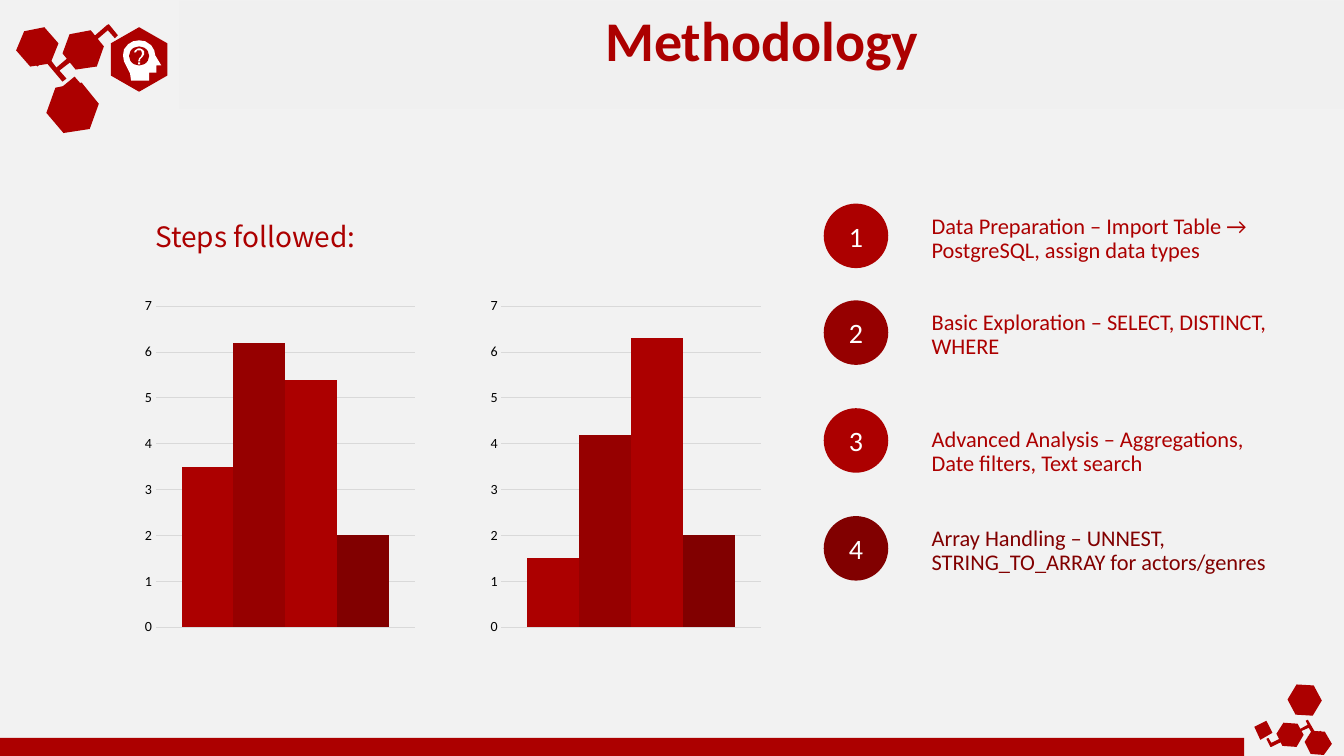
import pptx
import pptx.chart.data
import pptx.dml.color
import pptx.enum.chart
import pptx.enum.shapes
import pptx.enum.text
import pptx.util
from pptx.util import Inches

THEME = {
    "red": "AC0000", "dark": "960000", "deep": "810000",
    "back": "F2F2F2", "band": "F0F0F0", "white": "FFFFFF",
    "grid": "D9D9D9", "black": "000000",
    "font": "Calibri", "sub_font": "Noto Sans CJK SC",
    "title": 40, "lead": 20, "step": 16, "axis": 10,
}
RGB = pptx.dml.color.RGBColor.from_string
SHAPE = pptx.enum.shapes.MSO_SHAPE
ALIGN = pptx.enum.text.PP_ALIGN
ANCHOR = pptx.enum.text.MSO_ANCHOR

prs = pptx.Presentation()
prs.slide_width, prs.slide_height = Inches(13.33), Inches(7.5)
s = prs.slides.add_slide(prs.slide_layouts[6])
s.background.fill.solid()
s.background.fill.fore_color.rgb = RGB(THEME["back"])


def write(sp, text, size, color, font=THEME["font"], bold=False, align=ALIGN.LEFT,
          anchor=ANCHOR.TOP, inset=None, spacing=None):
    tf = sp.text_frame
    tf.word_wrap = True
    tf.vertical_anchor = anchor
    if inset is not None:
        tf.margin_left = tf.margin_right = tf.margin_top = tf.margin_bottom = Inches(inset)
    p = tf.paragraphs[0]
    p.alignment = align
    p.line_spacing = spacing
    r = p.add_run()
    r.text = text
    r.font.name, r.font.size, r.font.bold = font, pptx.util.Pt(size), bold
    r.font.color.rgb = RGB(THEME[color])


def draw(kind, color, box=None, contours=(), rotation=0):
    if kind == "free":
        outlines = [[(Inches(x), Inches(y)) for x, y in c] for c in contours]
        builder = s.shapes.build_freeform(*outlines[0][0])
        for i, points in enumerate(outlines):
            if i:
                builder.move_to(*points[0])
            builder.add_line_segments(points[1:], close=True)
        sp = builder.convert_to_shape()
    else:
        sp = s.shapes.add_shape(kind, *[Inches(v) for v in box])
    sp.rotation = rotation
    sp.shadow.inherit = False
    sp.fill.solid()
    sp.fill.fore_color.rgb = RGB(THEME[color])
    sp.line.fill.background()
    return sp


corner_links = [
    [(13.16, 7.37), (13.1, 7.25), (12.97, 7.31), (13.04, 7.44)],
    [(12.82, 7.01), (12.94, 6.95), (13.01, 7.07), (12.88, 7.14)],
    [(12.44, 7.21), (12.56, 7.15), (12.62, 7.27), (12.5, 7.34)],
    [(12.71, 7.26), (12.83, 7.2), (12.89, 7.32), (12.77, 7.39)],
    [(12.94, 7.13), (12.96, 7.12), (13.04, 7.26), (13.01, 7.27), (12.98, 7.22),
     (12.89, 7.26), (12.88, 7.24), (12.97, 7.19)],
    [(12.61, 7.41), (12.6, 7.41), (12.56, 7.33), (12.58, 7.32), (12.61, 7.37),
     (12.71, 7.32), (12.73, 7.35)],
]
corner_hexagons = [
    [(12.73, 7.17), (12.66, 7.28), (12.72, 7.4), (12.86, 7.41), (12.93, 7.29), (12.87, 7.18)],
    [(13.01, 7.25), (12.94, 7.36), (13, 7.48), (13.13, 7.49), (13.21, 7.38), (13.14, 7.26)],
    [(12.86, 6.79), (12.77, 6.94), (12.85, 7.09), (13.02, 7.1), (13.11, 6.95), (13.03, 6.8)],
]
header_links = [
    [(0.23, 0.49), (0.37, 0.66), (0.54, 0.52), (0.4, 0.35)],
    [(0.88, 0.92), (0.71, 1.06), (0.57, 0.9), (0.74, 0.76)],
    [(1.4, 0.48), (1.23, 0.62), (1.09, 0.46), (1.26, 0.32)],
    [(0.97, 0.5), (0.8, 0.64), (0.66, 0.47), (0.83, 0.33)],
    [(0.66, 0.78), (0.62, 0.81), (0.46, 0.62), (0.5, 0.59), (0.56, 0.67),
     (0.69, 0.56), (0.72, 0.6), (0.59, 0.7)],
    [(1.06, 0.25), (1.08, 0.24), (1.17, 0.35), (1.14, 0.38), (1.07, 0.3),
     (0.93, 0.42), (0.91, 0.38)],
]
header_hexagons = [
    [(0.96, 0.66), (1.03, 0.46), (0.9, 0.3), (0.69, 0.34), (0.62, 0.53), (0.75, 0.69)],
    [(0.5, 0.63), (0.58, 0.43), (0.44, 0.27), (0.24, 0.31), (0.16, 0.5), (0.3, 0.66)],
    [(0.89, 1.28), (0.98, 1.03), (0.81, 0.82), (0.55, 0.87), (0.46, 1.12), (0.63, 1.32)],
    [(1.38, 0.91), (1.66, 0.75), (1.66, 0.43), (1.38, 0.27), (1.1, 0.43), (1.1, 0.75)],
]
head = [(1.38, 0.4), (1.44, 0.41), (1.5, 0.45), (1.53, 0.5), (1.54, 0.55), (1.6, 0.65),
        (1.55, 0.65), (1.55, 0.72), (1.48, 0.72), (1.48, 0.8), (1.3, 0.8), (1.29, 0.73),
        (1.26, 0.67), (1.23, 0.61), (1.22, 0.55), (1.23, 0.49), (1.27, 0.44), (1.32, 0.41)]
question_mark = [
    [(1.37, 0.62), (1.39, 0.62), (1.39, 0.64), (1.37, 0.64)],
    [(1.37, 0.48), (1.39, 0.48), (1.41, 0.49), (1.43, 0.51), (1.43, 0.54), (1.41, 0.57),
     (1.39, 0.59), (1.39, 0.61), (1.37, 0.61), (1.38, 0.58), (1.4, 0.56), (1.41, 0.53),
     (1.4, 0.5), (1.38, 0.5), (1.36, 0.5), (1.35, 0.52), (1.33, 0.52), (1.34, 0.5)],
]

for links, mask, angle, hexagons in [
    (corner_links, (12.82, 6.96, 0.21, 0.19), 152.8, corner_hexagons),
    (header_links, (1.11, 0.33, 0.33, 0.29), 140, header_hexagons),
]:
    draw("free", "red", contours=links)
    draw(SHAPE.RECTANGLE, "back", mask, rotation=angle)
    for hexagon in hexagons:
        draw("free", "red", contours=[hexagon])
draw("free", "white", contours=[head])
draw(SHAPE.OVAL, "red", (1.28, 0.46, 0.2, 0.19))
draw("free", "white", contours=question_mark)
draw(SHAPE.RECTANGLE, "red", (0, 7.32, 12.34, 0.18))

for left, values in [(1.38, (3.5, 6.2, 5.4, 2)), (4.81, (1.5, 4.2, 6.3, 2))]:
    data = pptx.chart.data.CategoryChartData()
    data.categories = ["1"]
    for n, value in enumerate(values, 1):
        data.add_series(f"Series {n}", [value])
    chart = s.shapes.add_chart(
        pptx.enum.chart.XL_CHART_TYPE.COLUMN_CLUSTERED,
        Inches(left), Inches(2.89), Inches(2.79), Inches(3.48), data).chart
    chart.has_title = chart.has_legend = False
    chart.font.name, chart.font.size = THEME["font"], pptx.util.Pt(THEME["axis"])
    chart.font.color.rgb = RGB(THEME["black"])
    chart.category_axis.visible = False
    axis = chart.value_axis
    axis.minimum_scale, axis.maximum_scale, axis.major_unit = 0, 7, 1
    axis.major_tick_mark = pptx.enum.chart.XL_TICK_MARK.NONE
    axis.format.line.fill.background()
    axis.major_gridlines.format.line.color.rgb = RGB(THEME["grid"])
    axis.major_gridlines.format.line.width = pptx.util.Pt(0.75)
    plot = chart.plots[0]
    plot.gap_width, plot.overlap, plot.vary_by_categories = 100, 0, False
    for series, color in zip(plot.series, ("red", "dark", "red", "deep")):
        series.format.fill.solid()
        series.format.fill.fore_color.rgb = RGB(THEME[color])

steps = [
    (2.02, 2.13, 3.91, "red", "red", "Data Preparation – Import Table → PostgreSQL, assign data types"),
    (2.98, 3.09, 3.75, "dark", "red", "Basic Exploration – SELECT, DISTINCT, WHERE"),
    (4.05, 4.25, 3.52, "red", "red", "Advanced Analysis – Aggregations, Date filters, Text search"),
    (5.12, 5.23, 3.59, "deep", "deep", "Array Handling – UNNEST, STRING_TO_ARRAY for actors/genres"),
]
for n, (top, text_top, width, fill, color, text) in enumerate(steps, 1):
    badge = draw(SHAPE.OVAL, fill, (8.17, top, 0.64, 0.64))
    write(badge, str(n), THEME["lead"], "white", align=ALIGN.CENTER, anchor=ANCHOR.MIDDLE, inset=0)
    box = s.shapes.add_textbox(Inches(9.24), Inches(text_top), Inches(width), Inches(0.42))
    write(box, text, THEME["step"], color, inset=0, spacing=0.9)

title = draw(SHAPE.RECTANGLE, "band", (1.78, 0.01, 11.55, 1.07))
write(title, "Methodology", THEME["title"], "red", bold=True, align=ALIGN.CENTER)
lead = s.shapes.add_textbox(Inches(1.44), Inches(2.13), Inches(6.67), Inches(0.44))
write(lead, "Steps followed:", THEME["lead"], "red", font=THEME["sub_font"])

prs.save("out.pptx")
